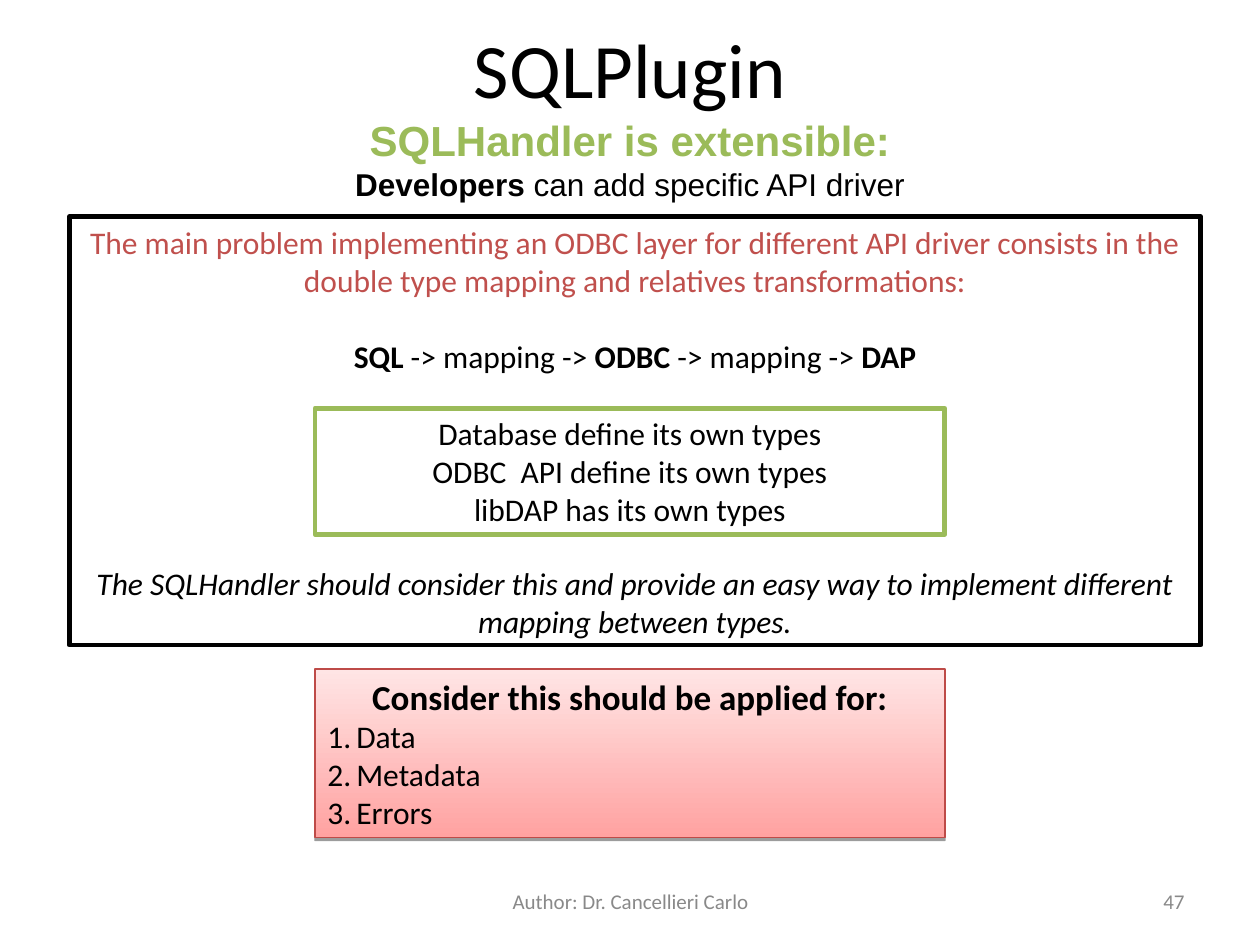
from lxml.etree import SubElement
from pptx import Presentation
from pptx.dml.color import RGBColor
from pptx.enum.shapes import MSO_SHAPE as Shape
from pptx.enum.text import MSO_ANCHOR as Anchor, PP_ALIGN as Align
from pptx.oxml.ns import qn
from pptx.util import Inches, Pt

COLORS = {
    "black": "000000", "white": "FFFFFF", "green": "9BBB59", "red": "C0504D",
    "border": "BE4B48", "rose": "FFA2A1", "blush": "FFE5E5", "gray": "898989",
}

deck = Presentation()
deck.slide_width, deck.slide_height = Inches(10), Inches(7.5)
page = deck.slides.add_slide(deck.slide_layouts[5])
column, row = deck.slide_width / 100, deck.slide_height / 100


def place(shape, left, top, width, height, anchor=Anchor.TOP):
    shape.left, shape.top = round(left * column), round(top * row)
    shape.width, shape.height = round(width * column), round(height * row)
    shape.text_frame.word_wrap = True
    shape.text_frame.vertical_anchor = anchor
    return shape


def write(box, lines):
    frame = box.text_frame
    for index, (pieces, size, color, align, font, style) in enumerate(lines):
        para = frame.add_paragraph() if index else frame.paragraphs[0]
        para.alignment = align
        for number, piece in enumerate(pieces):
            span = para.add_run()
            span.text = piece
            span.font.name, span.font.size = font, Pt(size)
            span.font.color.rgb = RGBColor.from_string(COLORS[color])
            span.font.bold = style == "bold" or (style == "lead" and number % 2 == 0)
            span.font.italic = style == "italic"


title = place(page.shapes.title, 7.5, 0, 85, 14.4, Anchor.MIDDLE)
write(title, [(["SQLPlugin"], 44, "black", Align.CENTER, "Calibri", "")])

subtitle = place(page.shapes.add_textbox(0, 0, 0, 0), 4.7, 11.47, 90.6, 10.67)
write(subtitle, [
    (["SQLHandler is extensible:"], 24, "green", Align.CENTER, "Arial", "bold"),
    (["Developers", " can add specific API driver"], 18, "black", Align.CENTER, "Arial", "lead"),
])

panels = []
for left, top, width, height, line, weight in [
    (5.5, 22.93, 89.8, 45.33, "black", 2.75),
    (25, 70.8, 50, 17.87, "border", 0.75),
    (25, 43.2, 50, 13.33, "green", 2.75),
]:
    panel = place(page.shapes.add_shape(Shape.RECTANGLE, 0, 0, 0, 0), left, top, width, height)
    panel.shadow.inherit = False
    panel.fill.solid()
    panel.fill.fore_color.rgb = RGBColor.from_string(COLORS["white"])
    panel.line.color.rgb = RGBColor.from_string(COLORS[line])
    panel.line.width = Pt(weight)
    panels.append(panel)
problem, scope, types = panels

write(problem, [
    (["The main problem implementing an ODBC layer for different API driver consists in the "
      "double type mapping and relatives transformations:"],
     18, "red", Align.CENTER, "Calibri", ""),
    (["SQL", " -> mapping -> ", "ODBC", " -> mapping -> ", "DAP"],
     18, "black", Align.CENTER, "Calibri", "lead"),
    (["The SQLHandler should consider this and provide an easy way to implement different "
      "mapping between types."],
     18, "black", Align.CENTER, "Calibri", "italic"),
])
for para, gap in zip(problem.text_frame.paragraphs[1:], (22, 108)):
    para.space_before = Pt(gap)

scope.fill.gradient()
scope.fill.gradient_angle = 90
for stop, color in zip(scope.fill.gradient_stops, ("rose", "blush")):
    stop.color.rgb = RGBColor.from_string(COLORS[color])
effects = scope.element.spPr.find(qn("a:effectLst"))
shadow = SubElement(effects, qn("a:outerShdw"), blurRad="0", dist=str(Pt(1.6)),
                    dir="5400000", rotWithShape="0")
shade = SubElement(shadow, qn("a:srgbClr"), val=COLORS["black"])
SubElement(shade, qn("a:alpha"), val="38000")

write(scope, [
    (["Consider this should be applied for:"], 20, "black", Align.CENTER, "Calibri", "bold"),
    *[([item], 18, "black", Align.LEFT, "Calibri", "") for item in ("Data", "Metadata", "Errors")],
])
for para in scope.text_frame.paragraphs[1:]:
    layout = para._p.get_or_add_pPr()
    layout.set("marL", str(Inches(0.23)))
    layout.set("indent", str(-Inches(0.23)))
    SubElement(layout, qn("a:buFont"), typeface="Calibri")
    SubElement(layout, qn("a:buAutoNum"), type="arabicPeriod")

write(types, [
    ([text], 18, "black", Align.CENTER, "Calibri", "")
    for text in ("Database define its own types", "ODBC  API define its own types",
                 "libDAP has its own types")
])

for left, width, text, align in [
    (71.7, 23.3, "47", Align.RIGHT),
    (34.2, 31.7, "Author: Dr. Cancellieri Carlo", Align.CENTER),
]:
    footer = place(page.shapes.add_textbox(0, 0, 0, 0), left, 92.67, width, 5.33, Anchor.MIDDLE)
    write(footer, [([text], 12, "gray", align, "Calibri", "")])

deck.save("out.pptx")
